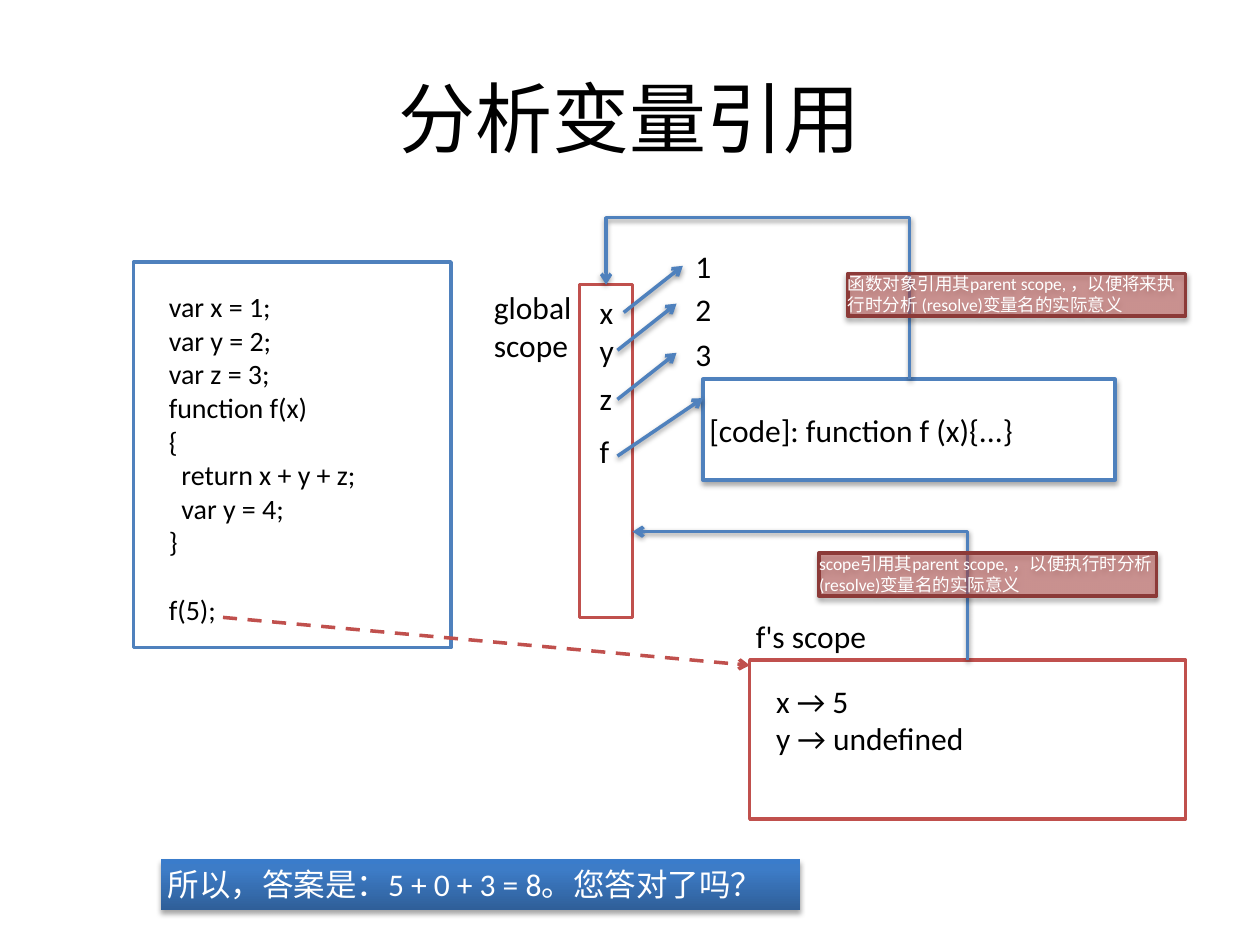
from dataclasses import dataclass
from typing import Optional

from pptx import Presentation
from pptx.dml.color import RGBColor
from pptx.enum.dml import MSO_LINE_DASH_STYLE as Dash
from pptx.enum.shapes import MSO_CONNECTOR as Link, MSO_SHAPE as Preset
from pptx.enum.text import MSO_ANCHOR as Anchor, MSO_AUTO_SIZE as AutoSize, PP_ALIGN as Align
from pptx.oxml import parse_xml
from pptx.oxml.ns import nsdecls, qn
from pptx.util import Emu, Pt

PX = 9144  # 100 px to the inch
FONT = "Calibri"
BLACK = RGBColor(0x00, 0x00, 0x00)
WHITE = RGBColor(0xFF, 0xFF, 0xFF)
BLUE = RGBColor(0x4F, 0x81, 0xBD)
RED = RGBColor(0xC0, 0x50, 0x4D)
DARK_RED = RGBColor(0x8C, 0x3A, 0x38)
ANSWER_STOPS = (
    (0, RGBColor(0x2F, 0x5F, 0x99)),
    (80, RGBColor(0x3D, 0x7C, 0xC7)),
    (100, RGBColor(0x3A, 0x7C, 0xCB)),
)


@dataclass(frozen=True)
class Box:
    left: int
    top: int
    width: int
    height: int
    line: Optional[RGBColor] = None
    fill: RGBColor = WHITE
    shadow: bool = False


@dataclass(frozen=True)
class Label:
    left: int
    top: int
    width: int
    height: int
    lines: tuple[str, ...]
    size: int = 18
    inset: int = 5
    wrap: bool = True


@dataclass(frozen=True)
class Arrow:
    start: tuple[int, int]
    end: tuple[int, int]
    color: RGBColor = BLUE
    dashed: bool = False


def px(length: float) -> Emu:
    return Emu(round(length * PX))


def set_shadow(shape, opacity: int, distance: float) -> None:
    """Give the shape a soft shadow straight below it."""
    properties = shape._element.spPr
    effects = properties.find(qn("a:effectLst"))
    if effects is None:
        effects = parse_xml(f"<a:effectLst {nsdecls('a')}/>")
        properties.append(effects)
    if opacity:
        effects.append(parse_xml(
            f'<a:outerShdw {nsdecls("a")} blurRad="{Pt(3)}" dist="{Pt(distance)}" '
            f'dir="5400000" rotWithShape="0"><a:srgbClr val="{BLACK}">'
            f'<a:alpha val="{opacity * 1000}"/></a:srgbClr></a:outerShdw>'))


def write(shape, lines: tuple[str, ...], size: int, color: RGBColor,
          inset: int = 5, wrap: bool = True) -> None:
    frame = shape.text_frame
    frame.word_wrap = wrap
    frame.margin_left = frame.margin_right = px(inset)
    frame.margin_top = frame.margin_bottom = px(min(inset, 5))
    for index, line in enumerate(lines):
        paragraph = frame.paragraphs[0] if index == 0 else frame.add_paragraph()
        paragraph.alignment = Align.LEFT
        run = paragraph.add_run()
        run.text = line
        run.font.name, run.font.size = FONT, Pt(size)
        run.font.color.rgb = color


def add_box(shapes, box: Box):
    shape = shapes.add_shape(Preset.RECTANGLE, px(box.left), px(box.top),
                             px(box.width), px(box.height))
    shape.shadow.inherit = False
    shape.fill.solid()
    shape.fill.fore_color.rgb = box.fill
    if box.line is None:
        shape.line.fill.background()
    else:
        shape.line.color.rgb = box.line
        shape.line.width = Pt(2)
    if box.shadow:
        set_shadow(shape, 35, 1.8)
    return shape


def add_label(shapes, label: Label):
    text_box = shapes.add_textbox(px(label.left), px(label.top),
                                  px(label.width), px(label.height))
    write(text_box, label.lines, label.size, BLACK, label.inset, label.wrap)
    text_box.text_frame.auto_size = AutoSize.SHAPE_TO_FIT_TEXT
    return text_box


def add_arrow(shapes, arrow: Arrow, kind=Link.STRAIGHT):
    connector = shapes.add_connector(kind, *map(px, arrow.start + arrow.end))
    connector.line.color.rgb = arrow.color
    connector.line.width = Pt(2)
    if arrow.dashed:
        connector.line.dash_style = Dash.DASH
    connector.line._get_or_add_ln().append(
        parse_xml(f'<a:tailEnd {nsdecls("a")} type="arrow"/>'))
    set_shadow(connector, 0 if arrow.dashed else 38, 1.6)
    return connector


def turn_elbow(connector, arrow: Arrow, preset: str, bend: Optional[int] = None) -> None:
    """Lay the elbow out so that it leaves its start upwards."""
    (x1, y1), (x2, y2) = arrow.start, arrow.end
    across, up = x1 - x2, y1 - y2
    connector.left, connector.top = px((x1 + x2 - up) / 2), px((y1 + y2 - across) / 2)
    connector.width, connector.height = px(up), px(across)
    frame = connector._element.spPr.find(qn("a:xfrm"))
    frame.attrib.pop("flipH", None)
    frame.set("flipV", "1")
    frame.set("rot", "16200000")
    geometry = connector._element.spPr.find(qn("a:prstGeom"))
    geometry.set("prst", preset)
    if bend is not None:
        guides = geometry.find(qn("a:avLst"))
        guides.append(parse_xml(f'<a:gd {nsdecls("a")} name="adj1" fmla="val {bend}"/>'))


def add_note(shapes, left: int, top: int, text: str) -> None:
    note = add_box(shapes, Box(left, top, 268, 34, DARK_RED, RED, True))
    color = note._element.spPr.find(qn("a:solidFill")).find(qn("a:srgbClr"))
    color.append(parse_xml(f'<a:alpha {nsdecls("a")} val="50000"/>'))
    write(note, (text,), 10, WHITE, inset=0)
    note.text_frame.vertical_anchor = Anchor.TOP


def add_answer(shapes, text: str) -> None:
    answer = add_box(shapes, Box(128, 682, 507, 40, shadow=True))
    stops = "".join(f'<a:gs pos="{at * 1000}"><a:srgbClr val="{color}"/></a:gs>'
                    for at, color in ANSWER_STOPS)
    properties = answer._element.spPr
    properties.replace(properties.find(qn("a:solidFill")), parse_xml(
        f'<a:gradFill {nsdecls("a")} rotWithShape="1"><a:gsLst>{stops}</a:gsLst>'
        '<a:lin ang="16200000" scaled="0"/></a:gradFill>'))
    write(answer, (text,), 18, WHITE)
    answer.text_frame.vertical_anchor = Anchor.TOP


def main() -> None:
    deck = Presentation()
    deck.slide_width, deck.slide_height = px(1000), px(750)
    slide = deck.slides.add_slide(deck.slide_layouts[5])
    shapes = slide.shapes

    # Title
    title = shapes.title
    title.left, title.top, title.width, title.height = map(px, (50, 30, 900, 125))
    write(title, ("分析变量引用",), 44, BLACK, inset=10)
    title.text_frame.paragraphs[0].alignment = Align.CENTER
    title.text_frame.vertical_anchor = Anchor.MIDDLE

    # Scopes, source and function object
    global_scope = add_box(shapes, Box(460, 226, 42, 264, RED))
    add_box(shapes, Box(106, 208, 252, 306, BLUE))
    function_object = add_box(shapes, Box(558, 301, 327, 80, BLUE, shadow=True))
    write(function_object, ("[code]: function f (x){...}",), 18, BLACK)
    call_scope = add_box(shapes, Box(595, 524, 346, 126, RED))

    # Source code, with a line's gap before the call
    source = add_label(shapes, Label(129, 225, 279, 279, (
        "var x = 1;", "var y = 2;", "var z = 3;", "function f(x)", "{",
        "  return x + y + z;", "  var y = 4;", "}", "f(5);"), size=16))
    source.text_frame.paragraphs[-1].space_before = Pt(19.5)

    # Names and their values
    for name, top in (("x", 228), ("y", 258), ("z", 296), ("f", 338)):
        add_label(shapes, Label(471, top, 24, 40, (name,)))
    for value, top in (("1", 191), ("2", 225), ("3", 261)):
        add_label(shapes, Label(542, top, 33, 40, (value,), inset=10, wrap=False))
    for label in (
        Label(387, 224, 84, 71, ("global", "scope")),
        Label(595, 485, 236, 40, ("f's scope",)),
        Label(611, 536, 276, 71, ("x → 5", "y → undefined")),
    ):
        add_label(shapes, label)

    # References from names, and from the call to its scope
    for arrow in (
        Arrow((495, 248), (542, 211)),
        Arrow((490, 278), (537, 241)),
        Arrow((490, 317), (537, 280)),
        Arrow((490, 362), (558, 316)),
        Arrow((177, 490), (595, 528), RED, dashed=True),
    ):
        add_arrow(shapes, arrow)

    # References to the parent scope
    function_parent = Arrow((722, 301), (481, 226))
    elbow = add_arrow(shapes, function_parent, Link.ELBOW)
    elbow.begin_connect(function_object, 0)
    elbow.end_connect(global_scope, 0)
    turn_elbow(elbow, function_parent, "bentConnector3", 170900)
    call_parent = Arrow((768, 524), (502, 422))
    elbow = add_arrow(shapes, call_parent, Link.ELBOW)
    elbow.begin_connect(call_scope, 0)
    turn_elbow(elbow, call_parent, "bentConnector2")

    # Notes and answer
    add_note(shapes, 673, 217, "函数对象引用其parent scope, ，以便将来执行时分析 (resolve)变量名的实际意义")
    add_note(shapes, 650, 439, "scope引用其parent scope, ，以便执行时分析 (resolve)变量名的实际意义")
    add_answer(shapes, "所以，答案是：5 + 0 + 3 = 8。您答对了吗？")

    deck.save("out.pptx")


if __name__ == "__main__":
    main()
